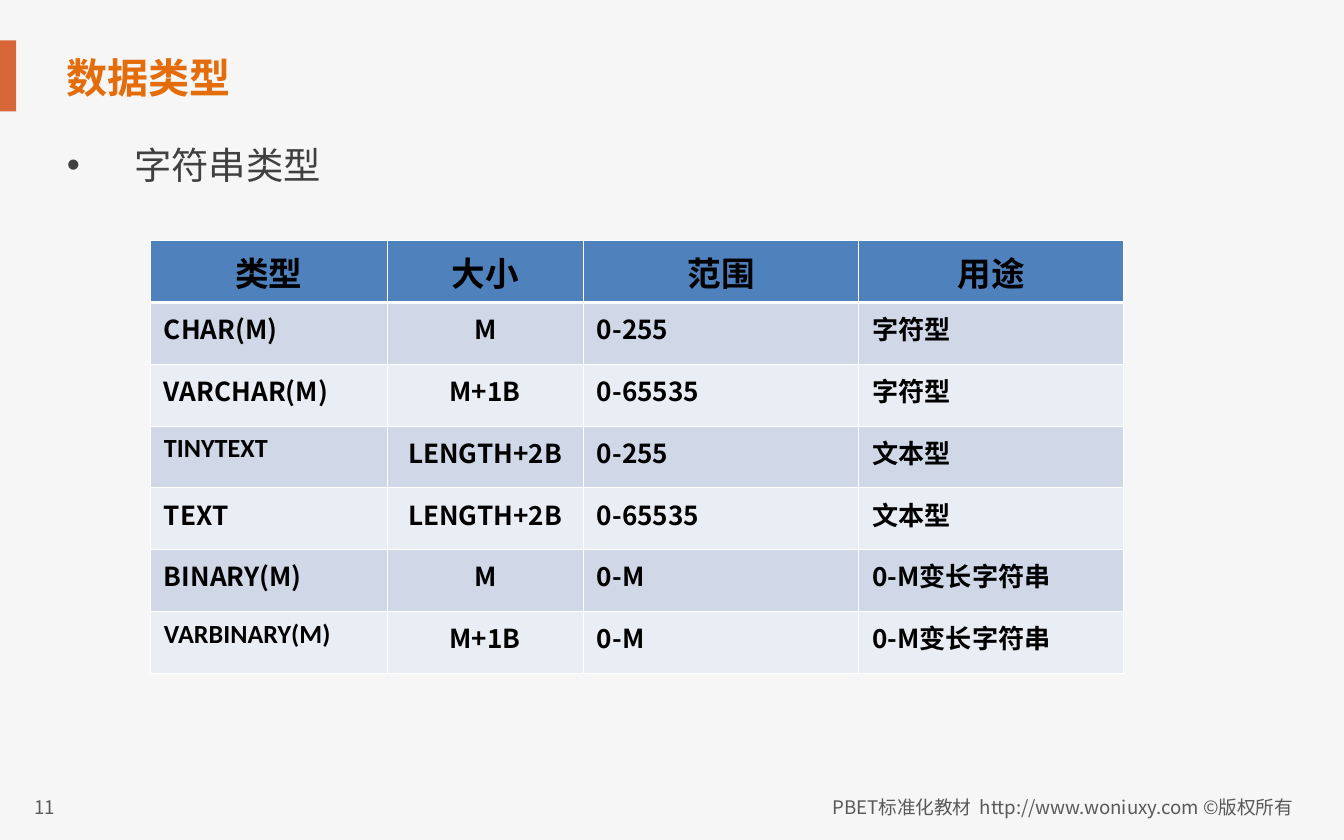
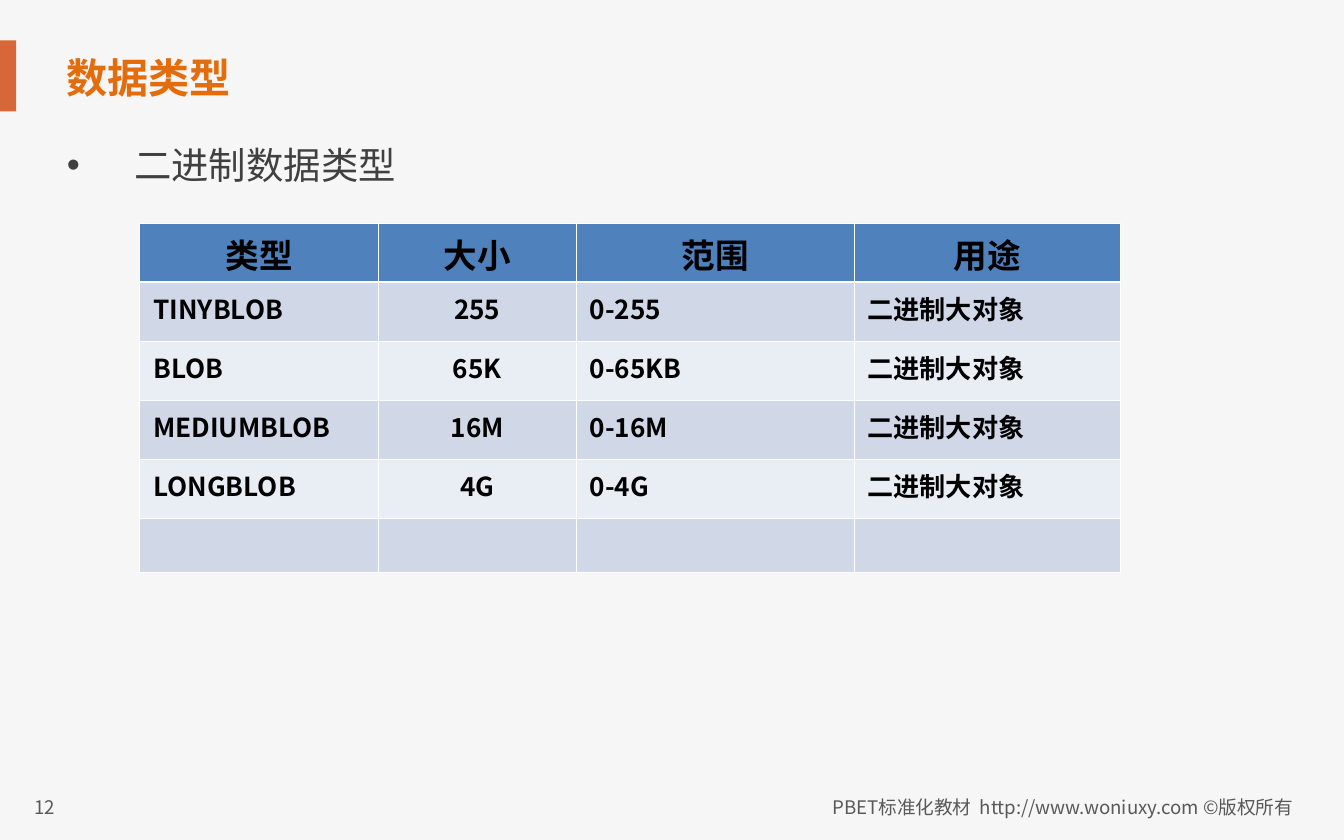
from lxml import etree
from pptx import Presentation, util as u
from pptx.dml.color import RGBColor
from pptx.enum import shapes, text
from pptx.oxml.ns import qn

# Content
TITLE = "数据类型"
FOOTER = "PBET标准化教材  http://www.woniuxy.com ©版权所有 "
FIRST_PAGE = 11
HEADER = ("类型", "大小", "范围", "用途")
SLIDES = [
    {
        "topic": "字符串类型",
        "table": (1.12, 1.79, 7.24),
        "heights": [0.46] * 7,
        "rows": [
            ("CHAR(M)", "M", "0-255", "字符型"),
            ("VARCHAR(M)", "M+1B", "0-65535", "字符型"),
            ("TINYTEXT", "LENGTH+2B", "0-255", "文本型"),
            ("TEXT", "LENGTH+2B", "0-65535", "文本型"),
            ("BINARY(M)", "M", "0-M", "0-M变长字符串"),
            ("VARBINARY(M)", "M+1B", "0-M", "0-M变长字符串"),
        ],
    },
    {
        "topic": "二进制数据类型",
        "table": (1.04, 1.66, 7.3),
        "heights": [0.44] * 5 + [0.34],
        "rows": [
            ("TINYBLOB", "255", "0-255", "二进制大对象"),
            ("BLOB", "65K", "0-65KB", "二进制大对象"),
            ("MEDIUMBLOB", "16M", "0-16M", "二进制大对象"),
            ("LONGBLOB", "4G", "0-4G", "二进制大对象"),
            ("", "", "", ""),
        ],
    },
]

# Shared style
COLORS = {
    "page": "F6F6F6", "accent": "D76739", "title": "E46C0A", "body": "404040",
    "footer": "595959", "cell": "000000", "header": "4F81BD",
    "odd": "D0D8E8", "even": "E9EDF4", "border": "FFFFFF",
}
FONT, LATIN_FONT = "Noto Sans CJK SC", "Calibri"
LATIN_CELLS = {"TINYTEXT", "VARBINARY(M)"}
COLUMN_SHARES = (0.243, 0.202, 0.283, 0.272)
THIN, THICK = 0.45, 1.47
ALIGN = text.PP_ALIGN


def rgb(name):
    return RGBColor.from_string(COLORS[name])


def write(tf, words, size, color, bold=False, align=ALIGN.LEFT, font=FONT):
    p = tf.paragraphs[0]
    p.text = words
    p.alignment = align
    for r in p.runs:
        r.font.size, r.font.bold, r.font.name = u.Pt(size), bold, font
        r.font.color.rgb = rgb(color)
        etree.SubElement(r.font._element, qn("a:ea"), typeface=font)
    return p


def add_text(s, box, words, size, color, wrap=True, **style):
    tf = s.shapes.add_textbox(*map(u.Inches, box)).text_frame
    tf.word_wrap = wrap
    return tf, write(tf, words, size, color, **style)


def add_frame(s, page):
    """Background, accent band, footer, page number and title."""
    s.background.fill.solid()
    s.background.fill.fore_color.rgb = rgb("page")
    band = s.shapes.add_shape(shapes.MSO_SHAPE.RECTANGLE,
                              *map(u.Inches, (-0.07, 0.3, 0.19, 0.53)))
    band.shadow.inherit = False
    band.fill.solid()
    band.fill.fore_color.rgb = rgb("accent")
    band.line.fill.background()
    add_text(s, (4.99, 5.87, 4.76, 0.27), FOOTER, 10, "footer", align=ALIGN.RIGHT)
    add_text(s, (0.16, 5.87, 0.86, 0.3), str(page), 10, "footer", wrap=False)
    tf, _ = add_text(s, (0.4, 0.33, 7.02, 0.48), TITLE, 22, "title", bold=True)
    tf.vertical_anchor = text.MSO_ANCHOR.MIDDLE


def add_topic(s, words):
    tf, p = add_text(s, (0.4, 1.06, 9.22, 4.73), words, 20, "body")
    tf.margin_top = 0
    p.space_after = u.Pt(6)
    pPr = p._p.get_or_add_pPr()
    pPr.set("marL", str(u.Inches(0.5)))
    pPr.set("indent", str(-u.Inches(0.5)))
    color = etree.SubElement(pPr, qn("a:buClr"))
    etree.SubElement(color, qn("a:srgbClr"), val=COLORS["body"])
    etree.SubElement(pPr, qn("a:buFont"), typeface="Arial")
    etree.SubElement(pPr, qn("a:buChar"), char="•")


def set_borders(cell, row):
    tcPr = cell._tc.get_or_add_tcPr()
    widths = {"L": THIN, "R": THIN, "T": THICK if row == 1 else THIN,
              "B": THICK if row == 0 else THIN}
    for side, width in widths.items():
        ln = etree.SubElement(tcPr, qn(f"a:ln{side}"), w=str(u.Pt(width)))
        fill = etree.SubElement(ln, qn("a:solidFill"))
        etree.SubElement(fill, qn("a:srgbClr"), val=COLORS["border"])


def add_type_table(s, place, heights, rows):
    left, top, width = place
    table = s.shapes.add_table(
        len(heights), len(HEADER),
        *map(u.Inches, (left, top, width, sum(heights)))).table
    for column, share in zip(table.columns, COLUMN_SHARES):
        column.width = u.Inches(width * share)
    for row, height in zip(table.rows, heights):
        row.height = u.Inches(height)
    for i, values in enumerate([HEADER] + rows):
        band = "header" if i == 0 else "odd" if i % 2 else "even"
        for j, value in enumerate(values):
            cell = table.cell(i, j)
            set_borders(cell, i)
            cell.fill.solid()
            cell.fill.fore_color.rgb = rgb(band)
            if value:
                write(cell.text_frame, value, 14 if i else 18, "cell", bold=True,
                      align=ALIGN.CENTER if i == 0 or j == 1 else ALIGN.LEFT,
                      font=LATIN_FONT if value in LATIN_CELLS else FONT)


def main():
    prs = Presentation()
    prs.slide_width, prs.slide_height = u.Inches(10), u.Inches(6.25)
    for page, data in enumerate(SLIDES, FIRST_PAGE):
        s = prs.slides.add_slide(prs.slide_layouts[6])
        add_frame(s, page)
        add_topic(s, data["topic"])
        add_type_table(s, data["table"], data["heights"], data["rows"])
    prs.save("out.pptx")


if __name__ == "__main__":
    main()
